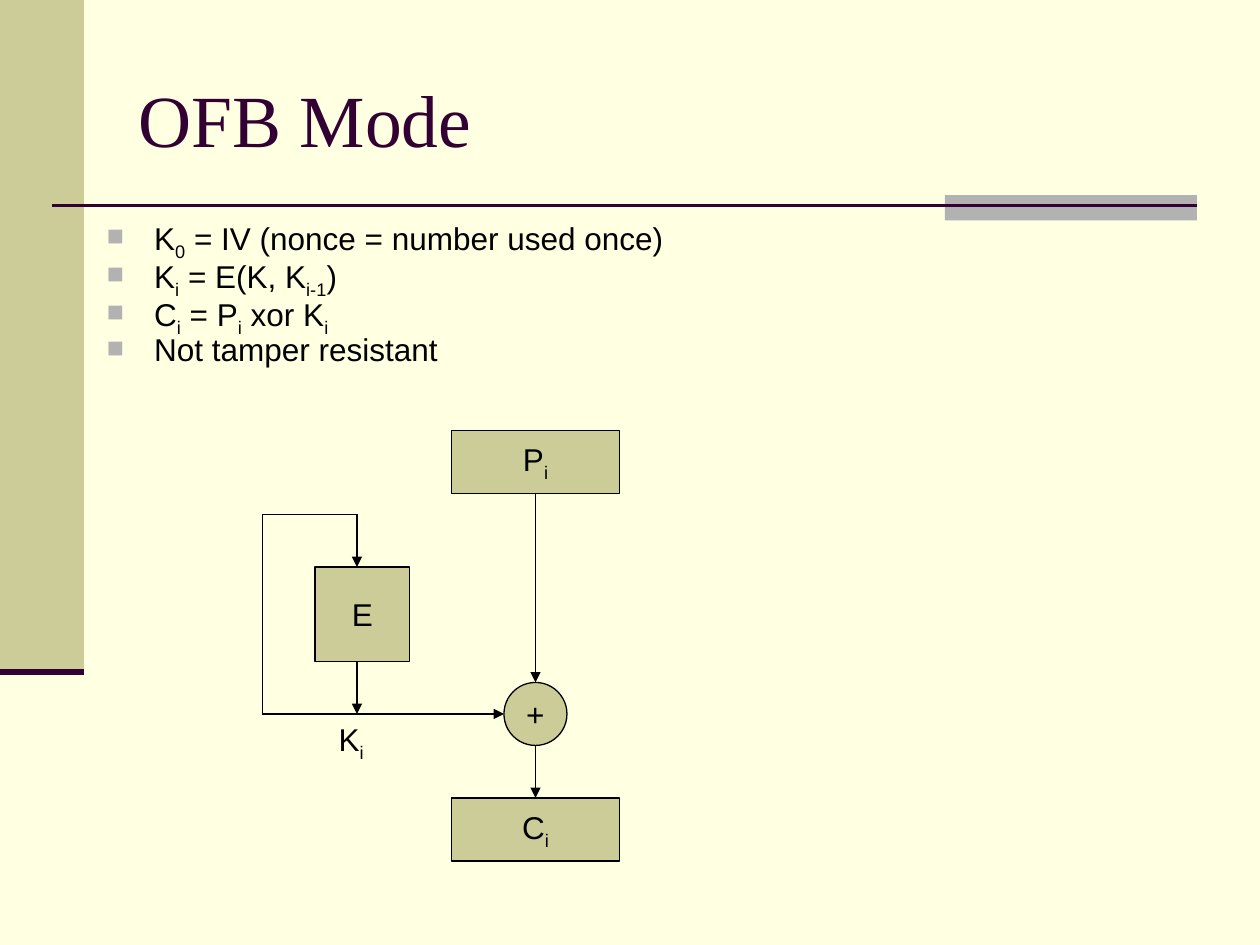
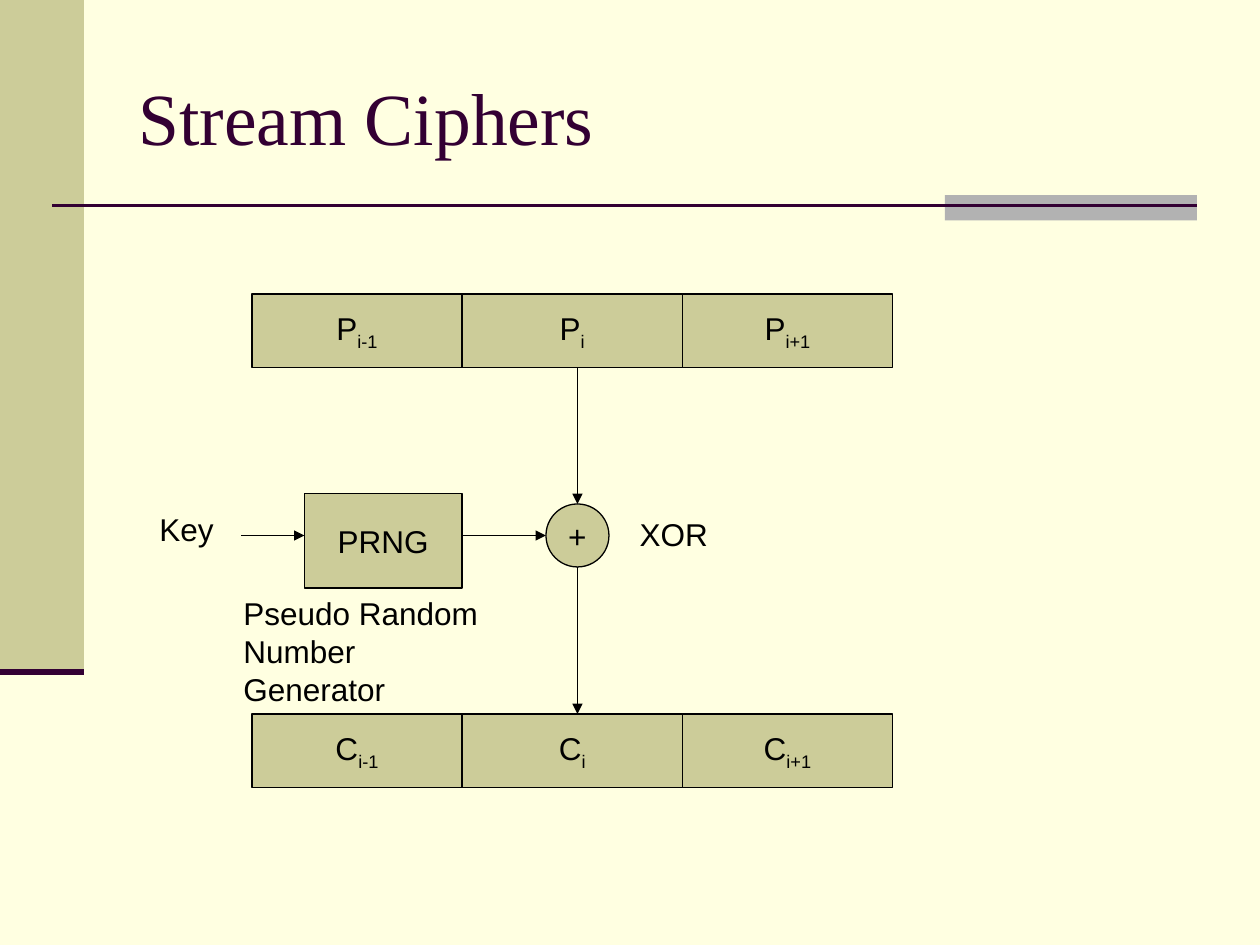
from lxml.etree import SubElement
from pptx import Presentation
from pptx.dml.color import RGBColor
from pptx.enum.shapes import MSO_CONNECTOR, MSO_SHAPE
from pptx.enum.text import MSO_ANCHOR, MSO_AUTO_SIZE, PP_ALIGN
from pptx.oxml.ns import qn
from pptx.util import Pt

# Shared look
CREAM, KHAKI, GRAY = "FFFFE1", "CCCC99", "B2B2B2"
PLUM, BLACK = "330033", "000000"
TITLE_FONT, TEXT_FONT = "Times New Roman", "Arial"
XOR_SIZE = 36


def color(hex_code):
    return RGBColor.from_string(hex_code)


def style_font(font, name, size, hex_code):
    font.name = name
    font.size = Pt(size)
    font.color.rgb = color(hex_code)


# Text: square brackets in the strings mark subscripts
def write(para, text, align=PP_ALIGN.LEFT):
    para.alignment = align
    style_font(para.font, TEXT_FONT, 18, BLACK)
    for index, part in enumerate(text.replace("]", "[").split("[")):
        if part:
            span = para.add_run()
            span.text = part
            if index % 2:
                span._r.get_or_add_rPr().set("baseline", "-25000")


def write_lines(frame, lines, bulleted=False):
    for index, line in enumerate(lines):
        para = frame.add_paragraph() if index else frame.paragraphs[0]
        if bulleted:
            add_bullet(para)
        write(para, line)


def add_bullet(para):
    props = para._p.get_or_add_pPr()
    props.set("marL", str(Pt(27)))
    props.set("indent", str(-Pt(27)))
    SubElement(SubElement(props, qn("a:buClr")), qn("a:srgbClr"), val=GRAY)
    SubElement(props, qn("a:buSzPct"), val="90000")
    SubElement(props, qn("a:buFont"), typeface=TEXT_FONT)
    SubElement(props, qn("a:buChar"), char="■")
    para.line_spacing = 0.7
    para.space_before = Pt(4.5)


def add_label(page, left, top, width, height, *lines):
    frame = page.shapes.add_textbox(Pt(left), Pt(top), Pt(width), Pt(height)).text_frame
    frame.word_wrap = False
    frame.auto_size = MSO_AUTO_SIZE.SHAPE_TO_FIT_TEXT
    write_lines(frame, lines)


def add_bullets(page, left, top, width, height, lines):
    frame = page.shapes.add_textbox(Pt(left), Pt(top), Pt(width), Pt(height)).text_frame
    frame.word_wrap = True
    write_lines(frame, lines, bulleted=True)


# Shapes and lines
def add_plain(page, left, top, width, height, fill, kind=MSO_SHAPE.RECTANGLE):
    shape = page.shapes.add_shape(kind, Pt(left), Pt(top), Pt(width), Pt(height))
    shape.shadow.inherit = False
    shape.fill.solid()
    shape.fill.fore_color.rgb = color(fill)
    shape.line.fill.background()
    return shape


def add_block(page, left, top, width, height, text, kind=MSO_SHAPE.RECTANGLE):
    block = add_plain(page, left, top, width, height, KHAKI, kind)
    block.line.color.rgb = color(BLACK)
    block.line.width = Pt(0.75)
    frame = block.text_frame
    frame.word_wrap = False
    frame.vertical_anchor = MSO_ANCHOR.MIDDLE
    write(frame.paragraphs[0], text, PP_ALIGN.CENTER)


def add_xor(page, left, top):
    add_block(page, left, top, XOR_SIZE, XOR_SIZE, "+", MSO_SHAPE.OVAL)


def add_line(page, start, end, hex_code=BLACK, width=0.75):
    line = page.shapes.add_connector(
        MSO_CONNECTOR.STRAIGHT, *(Pt(value) for value in (*start, *end)))
    line.line.color.rgb = color(hex_code)
    line.line.width = Pt(width)
    SubElement(line._element.spPr, qn("a:effectLst"))
    return line


def add_arrow(page, start, end):
    arrow = add_line(page, start, end)
    SubElement(arrow.line._get_or_add_ln(), qn("a:tailEnd"), type="triangle")


# Page frame: side band, title rule and title
def add_page(deck, title_text, title_height):
    page = deck.slides.add_slide(deck.slide_layouts[5])
    add_plain(page, 0, 0, 48, 384, KHAKI)
    add_plain(page, 540, 111.5, 144, 14.5, GRAY)
    add_line(page, (30, 117.5), (684, 117.5), PLUM, 1.5)
    add_line(page, (0, 384), (48, 384), PLUM, 3.5)

    title = page.shapes.title
    title.left, title.top = Pt(72), Pt(21.6)
    title.width, title.height = Pt(612), Pt(title_height)
    frame = title.text_frame
    frame.text = title_text
    frame.auto_size = MSO_AUTO_SIZE.NONE
    frame.vertical_anchor = MSO_ANCHOR.MIDDLE
    para = frame.paragraphs[0]
    para.alignment = PP_ALIGN.LEFT
    style_font(para.font, TITLE_FONT, 42, PLUM)
    return page


def build_ofb_mode(deck):
    page = add_page(deck, "OFB Mode", 92)
    add_bullets(page, 54, 126, 630, 96, [
        "K[0] = IV (nonce = number used once)",
        "K[i] = E(K, K[i-1])",
        "C[i] = P[i] xor K[i]",
        "Not tamper resistant",
    ])

    # Cipher with its feedback loop
    cipher_x, loop_x, loop_top, key_y = 204, 150, 294, 408
    add_block(page, 180, 324, 54, 54, "E")
    add_arrow(page, (cipher_x, 378), (cipher_x, key_y))
    loop = [(cipher_x, key_y), (loop_x, key_y), (loop_x, loop_top), (cipher_x, loop_top)]
    for start, end in zip(loop, loop[1:]):
        add_line(page, start, end)
    add_arrow(page, loop[-1], (cipher_x, 324))

    # Plaintext to ciphertext
    stream_x = 306
    add_block(page, 258, 246, 96, 36, "P[i]")
    add_xor(page, 288, 390)
    add_block(page, 258, 456, 96, 36, "C[i]")
    add_arrow(page, (cipher_x, key_y), (288, key_y))
    add_arrow(page, (stream_x, 426), (stream_x, 456))
    add_arrow(page, (stream_x, 282), (stream_x, 390))
    add_label(page, 186.5, 408, 28.8, 31.7, "K[i]")


def build_stream_ciphers(deck):
    page = add_page(deck, "Stream Ciphers", 90)

    # Plaintext and ciphertext rows
    for letter, top in (("C", 408), ("P", 168)):
        left = 144
        for index, width in (("i-1", 120), ("i", 126), ("i+1", 120)):
            add_block(page, left, top, width, 42, f"{letter}[{index}]")
            left += width

    # Key stream and XOR
    key_y, stream_x = 306, 330
    add_block(page, 174, 282, 90, 54, "PRNG")
    add_xor(page, 312, 288)
    add_arrow(page, (138, key_y), (174, key_y))
    add_arrow(page, (264, key_y), (312, key_y))
    add_arrow(page, (stream_x, 210), (stream_x, 288))
    add_arrow(page, (stream_x, 324), (stream_x, 408))

    add_label(page, 84, 288, 45.4, 28.8, "Key")
    add_label(page, 358.5, 291, 53.3, 28.8, "XOR")
    add_label(page, 132, 336, 164, 50.4, "Pseudo Random", "Number Generator")


def main():
    deck = Presentation()
    deck.slide_width, deck.slide_height = Pt(720), Pt(540)
    background = deck.slide_master.background.fill
    background.solid()
    background.fore_color.rgb = color(CREAM)
    build_ofb_mode(deck)
    build_stream_ciphers(deck)
    deck.save("out.pptx")


if __name__ == "__main__":
    main()
